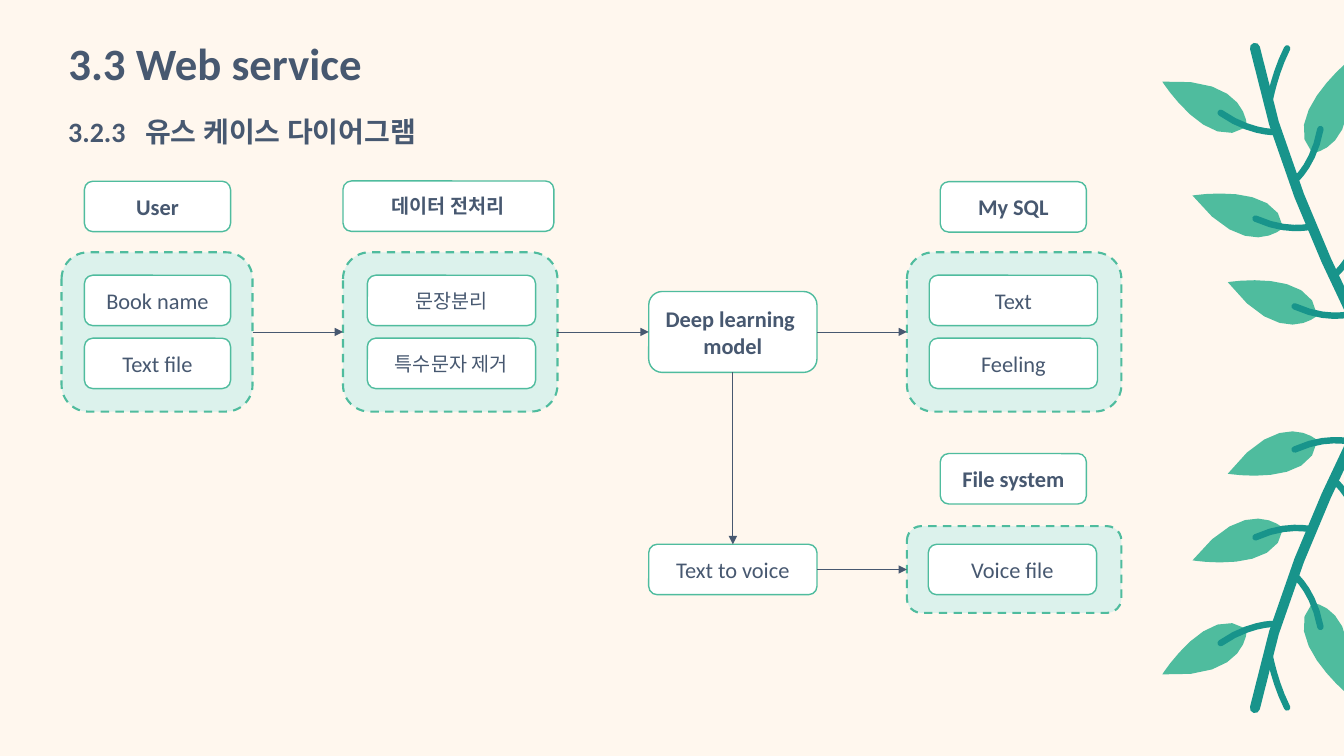
from lxml import etree
from pptx import Presentation
from pptx.dml.color import RGBColor
from pptx.enum.dml import MSO_LINE
from pptx.enum.shapes import MSO_CONNECTOR, MSO_SHAPE
from pptx.enum.text import MSO_ANCHOR, MSO_AUTO_SIZE, PP_ALIGN
from pptx.oxml.ns import qn
from pptx.util import Pt

ROUND = MSO_SHAPE.ROUNDED_RECTANGLE
STRAIGHT = MSO_CONNECTOR.STRAIGHT
DASH = MSO_LINE.DASH
TOP, LEFT, BOTTOM, RIGHT = range(4)

WIDE, HIGH = 960, 540
CREAM, WHITE, MINT = "FFF7EE", "FFFFFF", "DCF2EC"
GREEN, TEAL, SLATE = "4FBC9E", "18948B", "475870"
FONT = "Calibri"

TITLE = "3.3 Web service"
SUBTITLE = "3.2.3\t유스 케이스 다이어그램"

# key: heading (text, x, y, width), panel (x, y, width, height),
# items (texts, x, width), text size
GROUPS = {
    "user": (("User", 60.3, 129.5, 104.4), (44, 180.2, 136.4, 113.8),
             (["Book name", "Text file"], 60.3, 104.4), 16),
    "prep": (("데이터 전처리", 245, 129.3, 150.6), (245, 180.2, 153.2, 113.8),
             (["문장분리", "특수문자 제거"], 262.4, 120.2), 14),
    "sql": (("My SQL", 671.6, 129.8, 104.4), (647.8, 180.2, 153.2, 113.8),
            (["Text", "Feeling"], 663.8, 120.2), 16),
    "files": (("File system", 671.6, 324, 104.4), (647.8, 375.8, 153.2, 62),
              (["Voice file"], 663.1, 120.2), 16),
}
# key: lines, x, y, width, height, bold
STEPS = {
    "model": (["Deep learning ", "model"], 463.4, 208.2, 120.2, 57.8, True),
    "voice": (["Text to voice"], 463.4, 388.8, 120.2, 36, False),
}
ARROWS = [
    ("user", RIGHT, "prep", LEFT),
    ("prep", RIGHT, "model", LEFT),
    ("model", RIGHT, "sql", LEFT),
    ("model", BOTTOM, "voice", TOP),
    ("voice", RIGHT, "files", LEFT),
]
BOX_H, GAP = 36, 9

# base, bend of one edge, tip, bend of the other edge
LEAVES = [
    ((890.6, 90.7), (892.1, 54.7), (830.2, 58.3), (863.3, 110.2)),
    ((937.4, 109.4), (972.7, 106.6), (961.2, 45.4), (914.4, 85)),
    ((916.6, 162.7), (890.6, 188.6), (851.8, 139.7), (913, 129.6)),
    ((941, 225.4), (915.1, 250.6), (877, 201.6), (937.4, 191.5)),
]
# width, then the four points of a Bezier curve
TWIGS = [
    (7.2, (896.4, 34.2), (917.3, 141.8), (982.8, 257), (982.8, 257.8)),
    (4.6, (909.4, 94.3), (908.6, 94.3), (891.4, 94.3), (871.9, 80.6)),
    (4.6, (943.2, 92.2), (938.9, 115.9), (926.6, 127.4), (925.9, 127.8)),
    (4.6, (972.7, 159.8), (968.4, 182.9), (955.4, 194.4), (954.7, 195.1)),
    (4.6, (936, 162), (935.3, 162), (918.7, 166.3), (896.8, 156.2)),
    (4.6, (964.1, 224.6), (963.4, 224.6), (946.8, 229), (924.8, 218.9)),
    (4.6, (919.4, 34.6), (910.8, 51.8), (907.2, 70.6), (907.2, 70.6)),
]


def color(target, code):
    target.rgb = RGBColor.from_string(code)


def paint(fill, code):
    fill.solid()
    color(fill.fore_color, code)


def style(par, size, bold):
    par.font.name, par.font.size, par.font.bold = FONT, Pt(size), bold
    color(par.font.color, SLATE)
    props = par._p.pPr.find(qn("a:defRPr"))
    etree.SubElement(props, qn("a:ea"), typeface=FONT)


def curve(a, b, c, d, steps):
    """Points along a cubic Bezier curve."""
    dots = []
    for i in range(steps + 1):
        t = i / steps
        u = 1 - t
        dots.append(tuple(
            u**3 * p + 3 * u * u * t * q + 3 * u * t * t * r + t**3 * s
            for p, q, r, s in zip(a, b, c, d)))
    return dots


def outline(shapes, dots, flip, close):
    """Freeform through the dots, mirrored top to bottom if flip is set."""
    dots = [(Pt(x), Pt(HIGH - y if flip else y)) for x, y in dots]
    build = shapes.build_freeform(*dots[0], scale=1.0)
    build.add_line_segments(dots[1:], close=close)
    shape = build.convert_to_shape()
    shape.shadow.inherit = False
    return shape


def branch(shapes, flip):
    for base, bend, tip, back in LEAVES:
        dots = curve(base, base, bend, tip, 8)
        dots += curve(tip, tip, back, base, 8)[1:-1]
        leaf = outline(shapes, dots, flip, True)
        paint(leaf.fill, GREEN)
        leaf.line.fill.background()
    for width, *ends in TWIGS:
        twig = outline(shapes, curve(*ends, 6), flip, False)
        twig.fill.background()
        color(twig.line.color, TEAL)
        twig.line.width = Pt(width)
        twig.element.spPr.find(qn("a:ln")).set("cap", "rnd")


def box(shapes, area, fill, lines=(), size=16, bold=False, width=1):
    shape = shapes.add_shape(ROUND, *map(Pt, area))
    shape.shadow.inherit = False
    paint(shape.fill, fill)
    color(shape.line.color, GREEN)
    shape.line.width = Pt(width)
    frame = shape.text_frame
    frame.vertical_anchor = MSO_ANCHOR.MIDDLE
    if lines:
        frame.text = "\n".join(lines)
        for par in frame.paragraphs:
            par.alignment = PP_ALIGN.CENTER
            style(par, size, bold)
    return shape


def group(shapes, head, area, items, size):
    """Heading, dashed panel and its centred stack of items."""
    name, x, y, width = head
    box(shapes, (x, y, width, BOX_H), WHITE, [name], size, True)
    panel = box(shapes, area, MINT, width=1.5)
    panel.line.dash_style = DASH
    texts, x, width = items
    step = BOX_H + GAP
    y = area[1] + (area[3] - len(texts) * step + GAP) / 2
    for i, text in enumerate(texts):
        box(shapes, (x, y + i * step, width, BOX_H), WHITE, [text], size)
    return panel


def arrow(shapes, start, out, end, into):
    link = shapes.add_connector(STRAIGHT, 0, 0, 0, 0)
    link.begin_connect(start, out)
    link.end_connect(end, into)
    color(link.line.color, SLATE)
    link.line.width = Pt(0.5)
    props = link.element.spPr
    etree.SubElement(props.find(qn("a:ln")), qn("a:tailEnd"), type="triangle")
    etree.SubElement(props, qn("a:effectLst"))


def place(shape, area):
    shape.left, shape.top, shape.width, shape.height = map(Pt, area)
    frame = shape.text_frame
    frame.word_wrap = True
    frame.auto_size = MSO_AUTO_SIZE.NONE
    frame.vertical_anchor = MSO_ANCHOR.TOP


def heads(shapes):
    title = shapes.title
    place(title, (41.6, 26.6, 361.4, 51.1))
    title.text_frame.text = TITLE
    par = title.text_frame.paragraphs[0]
    par.alignment = PP_ALIGN.LEFT
    par.line_spacing = 0.9
    style(par, 32, True)

    area = (41.6, 78, 691.2, 31.7)
    sub = shapes.add_textbox(*map(Pt, area))
    place(sub, area)
    par = sub.text_frame.paragraphs[0]
    par.text = SUBTITLE
    stops = etree.SubElement(par._p.get_or_add_pPr(), qn("a:tabLst"))
    etree.SubElement(stops, qn("a:tab"), pos=str(Pt(55)), algn="l")
    style(par, 20, True)


def main():
    deck = Presentation()
    deck.slide_width, deck.slide_height = Pt(WIDE), Pt(HIGH)
    slide = deck.slides.add_slide(deck.slide_layouts[5])
    paint(slide.background.fill, CREAM)
    shapes = slide.shapes
    heads(shapes)
    for flip in (True, False):
        branch(shapes, flip)
    nodes = {key: group(shapes, *parts) for key, parts in GROUPS.items()}
    for key, (lines, *area, bold) in STEPS.items():
        nodes[key] = box(shapes, area, WHITE, lines, bold=bold)
    for start, out, end, into in ARROWS:
        arrow(shapes, nodes[start], out, nodes[end], into)
    deck.save("out.pptx")


if __name__ == "__main__":
    main()
